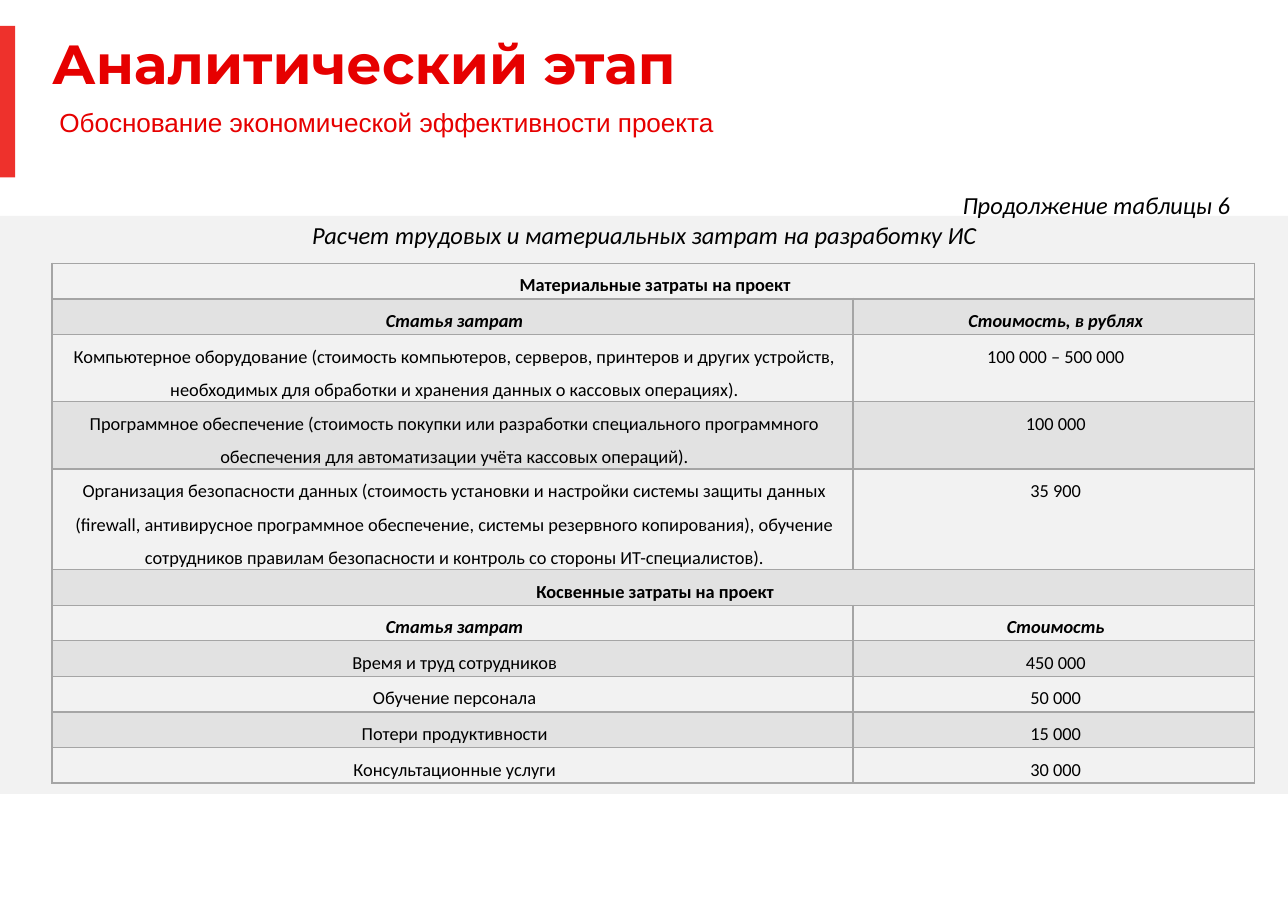
from lxml.etree import SubElement
from pptx import Presentation
from pptx.dml.color import RGBColor
from pptx.enum.shapes import MSO_SHAPE as SHAPE
from pptx.enum.text import MSO_ANCHOR as ANCHOR, PP_ALIGN as ALIGN
from pptx.oxml.ns import qn
from pptx.util import Cm, Pt

# Content
TITLE = "Аналитический этап"
SUBTITLE = "Обоснование экономической эффективности проекта"
CAPTION = [
    ("Продолжение таблицы 6", ALIGN.RIGHT),
    ("Расчет трудовых и материальных затрат на разработку ИС", ALIGN.CENTER),
]
# Row kind, number of text lines, cell texts
COSTS = [
    ("section", 1, ["Материальные затраты на проект"]),
    ("header", 1, ["Статья затрат", "Стоимость, в рублях"]),
    ("item", 2, ["Компьютерное оборудование (стоимость компьютеров, серверов, принтеров "
                 "и других устройств, необходимых для обработки и хранения данных "
                 "о кассовых операциях).", "100 000 – 500 000"]),
    ("item", 2, ["Программное обеспечение (стоимость покупки или разработки специального "
                 "программного обеспечения для автоматизации учёта кассовых операций).",
                 "100 000"]),
    ("item", 3, ["Организация безопасности данных (стоимость установки и настройки системы "
                 "защиты данных (firewall, антивирусное программное обеспечение, системы "
                 "резервного копирования), обучение сотрудников правилам безопасности "
                 "и контроль со стороны ИТ-специалистов).", "35 900"]),
    ("section", 1, ["Косвенные затраты на проект"]),
    ("header", 1, ["Статья затрат", "Стоимость"]),
    ("item", 1, ["Время и труд сотрудников", "450 000"]),
    ("item", 1, ["Обучение персонала", "50 000"]),
    ("item", 1, ["Потери продуктивности", "15 000"]),
    ("item", 1, ["Консультационные услуги", "30 000"]),
]
COLORS = {"title": "E60000", "accent": "EE312C", "panel": "F2F2F2",
          "grid": "A5A5A5", "text": "000000"}
ROW_HEIGHTS = {1: Cm(0.82), 2: Cm(1.55), 3: Cm(2.32)}
COLUMN_WIDTHS = [Cm(18.47), Cm(9.25)]


def rgb(name):
    return RGBColor.from_string(COLORS[name])


def add_block(slide, color, *box):
    sp = slide.shapes.add_shape(SHAPE.RECTANGLE, *map(Cm, box))
    sp.shadow.inherit = False
    sp.fill.solid()
    sp.fill.fore_color.rgb = rgb(color)
    sp.line.fill.background()


def add_text(slide, box, lines, font, size, color, anchor=ANCHOR.TOP,
             inset=(0.28, 0.15), spacing=1.0, bold=False, italic=False):
    tf = slide.shapes.add_textbox(*map(Cm, box)).text_frame
    tf.word_wrap = True
    tf.vertical_anchor = anchor
    tf.margin_left = tf.margin_right = Cm(inset[0])
    tf.margin_top = tf.margin_bottom = Cm(inset[1])
    for i, (text, align) in enumerate(lines):
        p = tf.add_paragraph() if i else tf.paragraphs[0]
        p.text, p.alignment, p.line_spacing = text, align, spacing
        set_font(p, font, size, color, bold, italic)


def set_font(p, name, size, color, bold, italic):
    p.font.name, p.font.size = name, Pt(size)
    p.font.bold, p.font.italic = bold, italic
    p.font.color.rgb = rgb(color)


def set_borders(cell, bottom):
    tc_pr = cell._tc.get_or_add_tcPr()
    for side, width in zip("LRTB", (1, 1, 1, bottom)):
        ln = SubElement(tc_pr, qn(f"a:ln{side}"), w=str(Pt(width)))
        fill = SubElement(ln, qn("a:solidFill"))
        SubElement(fill, qn("a:srgbClr"), val=COLORS["grid"])


def shade(cell, banded):
    if not banded:
        cell.fill.background()
        return
    cell.fill.solid()
    cell.fill.fore_color.rgb = rgb("grid")
    clr = cell._tc.tcPr.find(qn("a:solidFill")).find(qn("a:srgbClr"))
    SubElement(clr, qn("a:alpha"), val="20000")


def add_costs(slide):
    heights = [ROW_HEIGHTS[lines] for _, lines, _ in COSTS]
    table = slide.shapes.add_table(len(COSTS), 2, Cm(1.2), Cm(6.07),
                                   sum(COLUMN_WIDTHS), sum(heights)).table
    table.first_row = table.horz_banding = False
    for column, width in zip(table.columns, COLUMN_WIDTHS):
        column.width = width
    for r, (kind, _, texts) in enumerate(COSTS):
        table.rows[r].height = heights[r]
        if kind == "section":
            table.cell(r, 0).merge(table.cell(r, 1))
        for c in range(2):
            cell = table.cell(r, c)
            cell.margin_left, cell.margin_right = Cm(0.2), Cm(0.1)
            cell.margin_top = cell.margin_bottom = 0
            set_borders(cell, bottom=1 if r else 2)
            shade(cell, banded=r % 2 == 1)
        for c, text in enumerate(texts):
            p = table.cell(r, c).text_frame.paragraphs[0]
            p.text, p.alignment, p.line_spacing = text, ALIGN.CENTER, 1.5
            set_font(p, "Calibri", 12, "text", kind != "item", kind == "header")


def main():
    prs = Presentation()
    prs.slide_width, prs.slide_height = Cm(29.7), Cm(21)
    slide = prs.slides.add_slide(prs.slide_layouts[6])

    # Background panel and accent bar
    add_block(slide, "panel", 0, 4.98, 29.7, 13.32)
    add_block(slide, "accent", 0, 0.6, 0.35, 3.49)

    # Heading
    add_text(slide, (1.2, 0.86, 28.2, 1.4), [(TITLE, ALIGN.LEFT)], "Montserrat", 36,
             "title", inset=(0, 0), spacing=0.9, bold=True)
    add_text(slide, (1.09, 1.73, 27, 1.57), [(SUBTITLE, ALIGN.LEFT)], "Arial", 17.1,
             "title", anchor=ANCHOR.BOTTOM, spacing=0.7)

    # Table with its caption
    add_text(slide, (1.07, 4.24, 27.58, 1.37), CAPTION, "Calibri", 16, "text", italic=True)
    add_costs(slide)

    prs.save("out.pptx")


if __name__ == "__main__":
    main()
